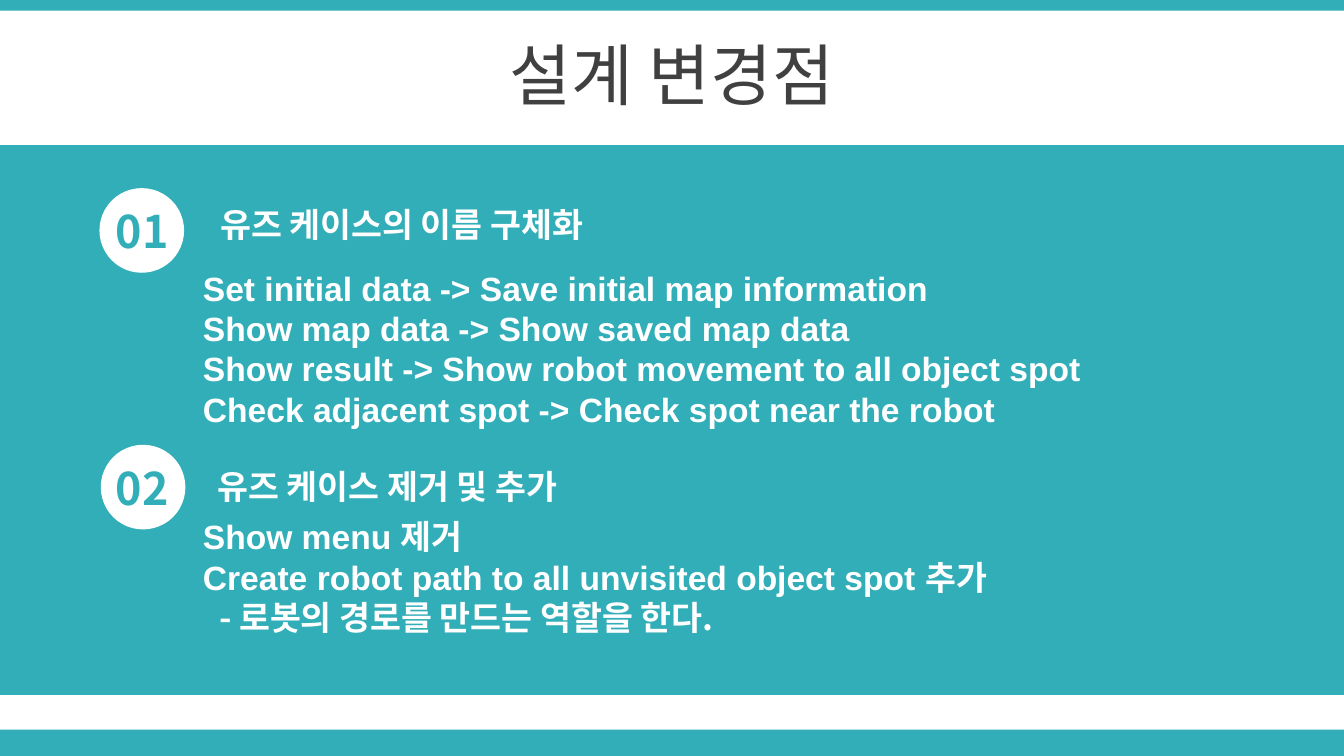
from dataclasses import dataclass
from typing import Any

from lxml.etree import SubElement
from pptx import Presentation
from pptx.dml.color import RGBColor
from pptx.enum.shapes import MSO_SHAPE as Shape
from pptx.enum.text import MSO_ANCHOR as Anchor, MSO_AUTO_SIZE as AutoSize, PP_ALIGN as Align
from pptx.oxml.ns import qn
from pptx.util import Inches, Pt


@dataclass(frozen=True)
class Theme:
    """Colours, fonts and type sizes of the deck."""
    teal: RGBColor = RGBColor(0x32, 0xAE, 0xB8)
    white: RGBColor = RGBColor(0xFF, 0xFF, 0xFF)
    grey: RGBColor = RGBColor(0x40, 0x40, 0x40)
    latin: str = "Arial"
    korean: str = "Noto Sans CJK KR"
    title: int = 36
    number: int = 24
    text: int = 18
    leading: float = 1.2


@dataclass(frozen=True)
class Box:
    """A rectangle in inches."""
    left: float
    top: float
    width: float
    height: float

    def lengths(self) -> list[int]:
        """Return left, top, width and height as lengths."""
        return [Inches(v) for v in (self.left, self.top, self.width, self.height)]


@dataclass(frozen=True)
class Line:
    """A detail line: Latin text, Korean text and left indent in inches."""
    latin: str = ""
    korean: str = ""
    indent: float = 0


@dataclass(frozen=True)
class Section:
    """A numbered change with its heading and details."""
    number: str
    badge: Box
    heading: str
    heading_box: Box
    details: tuple[Line, ...]
    details_box: Box


THEME = Theme()
BANDS = (Box(0, 5.43, 10, 0.2), Box(0, 0, 10, 0.08), Box(0, 1.08, 10, 4.09))
SECTIONS = (
    Section(
        "01", Box(0.74, 1.4, 0.63, 0.63),
        "유즈 케이스의 이름 구체화", Box(1.54, 1.47, 5.83, 0.4),
        (
            Line("Set initial data -> Save initial map information"),
            Line("Show map data -> Show saved map data"),
            Line("Show result -> Show robot movement to all object spot"),
            Line("Check adjacent spot -> Check spot near the robot"),
        ),
        Box(1.41, 1.94, 6.9, 1.62),
    ),
    Section(
        "02", Box(0.75, 3.31, 0.63, 0.63),
        "유즈 케이스 제거 및 추가", Box(1.52, 3.42, 3.39, 0.4),
        (
            Line("Show menu ", "제거"),
            Line("Create robot path to all unvisited object spot ", "추가"),
            Line(korean="- 로봇의 경로를 만드는 역할을 한다.", indent=0.12),
        ),
        Box(1.41, 3.79, 7.02, 1.01),
    ),
)


def style_run(r: Any, font: str, size: int, color: RGBColor, bold: bool = True) -> None:
    """Format a run, using the same font for Latin and Korean letters."""
    r.font.name, r.font.size, r.font.bold = font, Pt(size), bold
    r.font.color.rgb = color
    SubElement(r.font._element, qn("a:ea")).set("typeface", font)


def add_filled(shapes: Any, kind: Shape, box: Box, color: RGBColor) -> None:
    """Add a plain shape without outline or shadow."""
    sp = shapes.add_shape(kind, *box.lengths())
    sp.shadow.inherit = False
    sp.fill.solid()
    sp.fill.fore_color.rgb = color
    sp.line.fill.background()


def add_label(shapes: Any, box: Box, text: str, size: int, color: RGBColor, align: Align) -> None:
    """Add a one-line bold Korean label."""
    tf = shapes.add_textbox(*box.lengths()).text_frame
    tf.word_wrap = True
    tf.text = text
    p = tf.paragraphs[0]
    p.alignment, p.line_spacing = align, Pt(size * THEME.leading)
    style_run(p.runs[0], THEME.korean, size, color)


def place(sp: Any, box: Box) -> Any:
    """Move a placeholder and return its text frame with autofit off."""
    sp.left, sp.top, sp.width, sp.height = box.lengths()
    sp.text_frame.auto_size = AutoSize.NONE
    return sp.text_frame


def fill_details(sp: Any, section: Section) -> None:
    """Write the detail lines of a section into a body placeholder."""
    tf = place(sp, section.details_box)
    tf.vertical_anchor = Anchor.TOP
    for i, line in enumerate(section.details):
        p = tf.add_paragraph() if i else tf.paragraphs[0]
        p.space_before, p.line_spacing = Pt(0), Pt(THEME.text * THEME.leading)
        pPr = p._p.get_or_add_pPr()
        pPr.set("marL", str(Inches(line.indent)))
        pPr.set("indent", "0")
        SubElement(pPr, qn("a:buNone"))
        for text, font in ((line.latin, THEME.latin), (line.korean, THEME.korean)):
            if text:
                r = p.add_run()
                r.text = text
                style_run(r, font, THEME.text, THEME.white)


def add_section(s: Any, section: Section, body: Any) -> None:
    """Draw a numbered badge, its heading and its details."""
    badge = s.shapes.add_group_shape().shapes
    add_filled(badge, Shape.OVAL, section.badge, THEME.white)
    number_box = Box(0.71, section.badge.top + 0.07, 0.7, 0.5)
    add_label(badge, number_box, section.number, THEME.number, THEME.teal, Align.CENTER)
    add_label(s.shapes, section.heading_box, section.heading, THEME.text, THEME.white, Align.LEFT)
    fill_details(body, section)


def main() -> None:
    """Build and save the slide."""
    prs = Presentation()
    prs.slide_width = Inches(10)
    prs.slide_height = prs.slide_width * 9 // 16
    s = prs.slides.add_slide(prs.slide_layouts.get_by_name("Two Content"))
    title, *bodies = s.placeholders
    for band in BANDS:
        add_filled(s.shapes, Shape.RECTANGLE, band, THEME.teal)
    for body in bodies:
        s.shapes._spTree.append(body._element)

    tf = place(title, Box(0, 0.23, 10, 0.63))
    tf.text = "설계 변경점"
    tf.vertical_anchor = Anchor.MIDDLE
    p = tf.paragraphs[0]
    p.alignment = Align.CENTER
    style_run(p.runs[0], THEME.korean, THEME.title, THEME.grey, bold=False)

    for section, body in zip(SECTIONS, bodies):
        add_section(s, section, body)
    prs.save("out.pptx")


if __name__ == "__main__":
    main()
